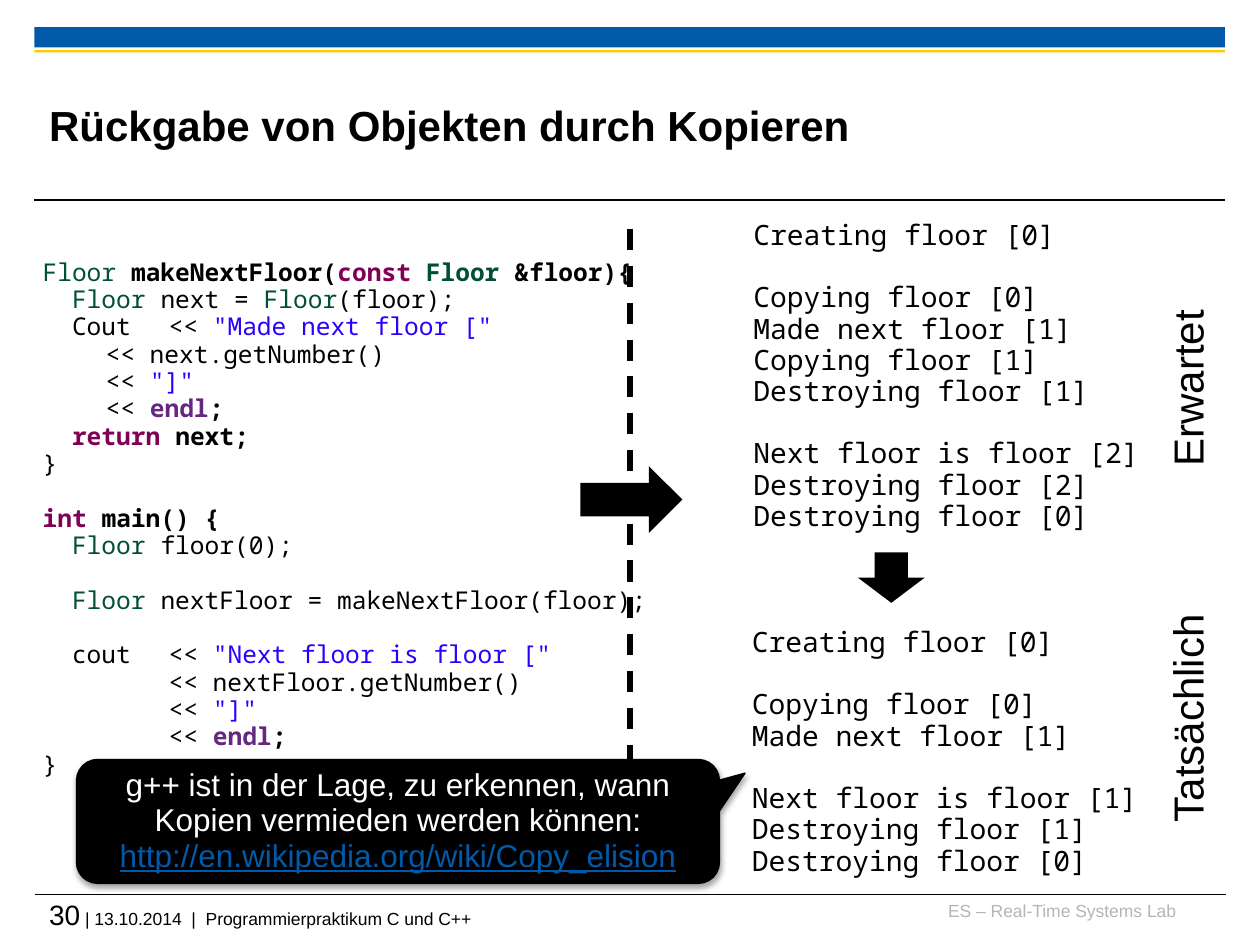
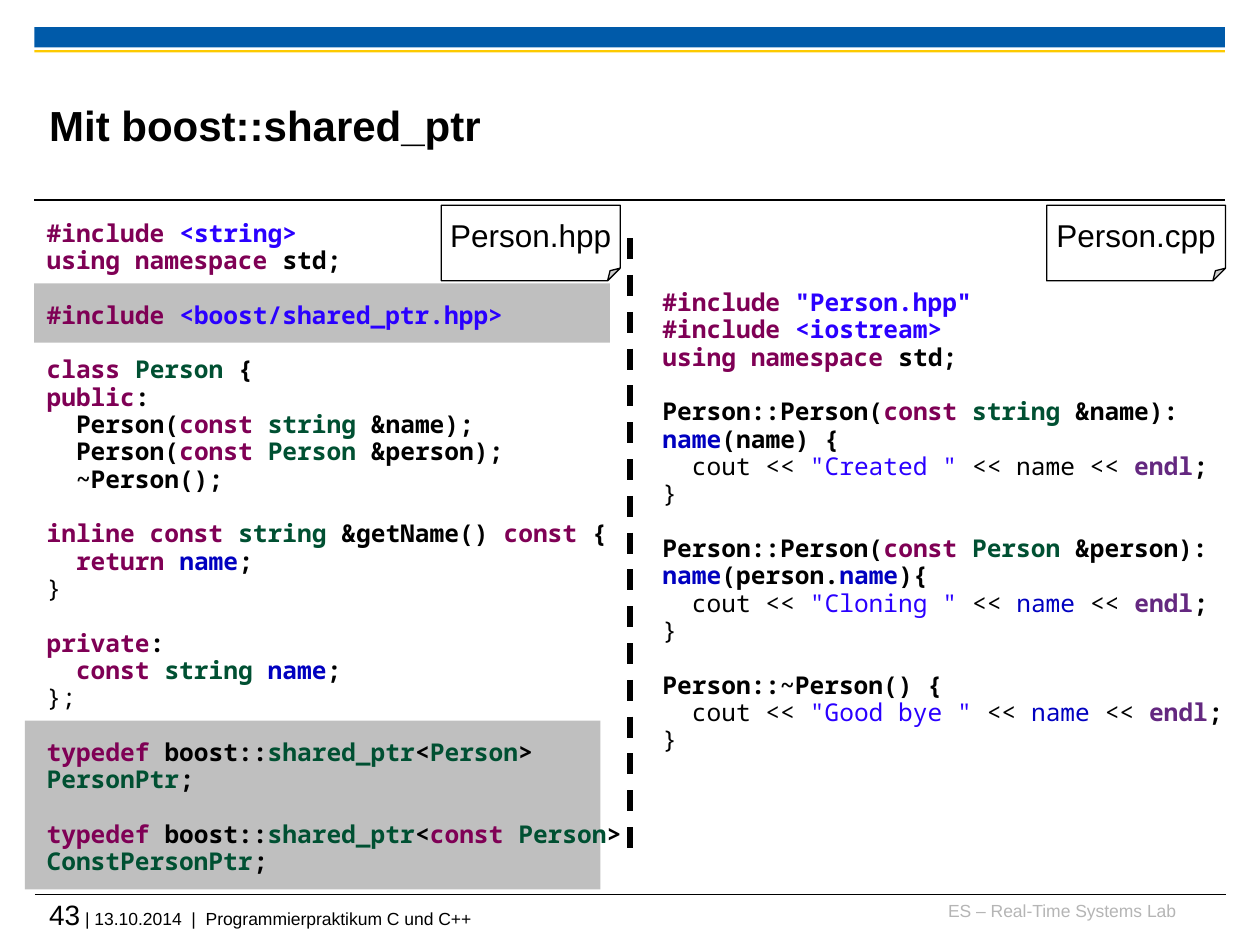
from lxml import etree
from pptx import Presentation
from pptx import util as u
from pptx.dml.color import RGBColor
from pptx.enum import dml, shapes, text
from pptx.oxml import ns, parse_xml

Pt = u.Pt
COLORS = {
    "black": "000000", "white": "FFFFFF", "blue": "005AA9", "yellow": "FDCA00",
    "lab": "B5B5B5", "highlight": "BFBFBF", "keyword": "7F0055", "type": "005032",
    "string": "2A00FF", "manipulator": "642880", "field": "0000C0",
}
# Each piece of text starts with a style letter; a capital letter means bold.
STYLES = {
    "p": "black", "k": "keyword", "t": "type", "s": "string", "m": "manipulator",
    "f": "field", "w": "white", "u": "blue", "g": "lab",
}
MONO, SANS = "Noto Sans Mono", "Arial"
LINE_PITCH = 1.115
CODE_TABS = (36, 72)
DRAWING_NS = f'xmlns:a="{ns.nsuri("a")}"'
LEFT, TOP = text.PP_ALIGN.LEFT, text.MSO_ANCHOR.TOP
CENTER, MIDDLE = text.PP_ALIGN.CENTER, text.MSO_ANCHOR.MIDDLE
PRESET = shapes.MSO_SHAPE


def write(shape, content, size, font=SANS, align=LEFT, anchor=TOP,
          inset=(7.2, 3.6), wrap=True, spacing=0.93):
    """Fill a shape with styled pieces split by ¦; an empty line becomes space before the next."""
    frame = shape.text_frame
    settings = {
        "word_wrap": wrap, "vertical_anchor": anchor,
        "margin_left": Pt(inset[0]), "margin_right": Pt(inset[0]),
        "margin_top": Pt(inset[1]), "margin_bottom": Pt(inset[1]),
    }
    for name, value in settings.items():
        setattr(frame, name, value)
    gaps, paragraph = 0, None
    for line in content.strip("\n").split("\n"):
        if not line:
            gaps += 1
            continue
        paragraph = frame.add_paragraph() if paragraph else frame.paragraphs[0]
        paragraph.alignment, paragraph.line_spacing = align, spacing
        if gaps:
            paragraph.space_before = Pt(round(gaps * size * LINE_PITCH, 1))
        gaps = 0
        if "\t" in line:
            stops = etree.SubElement(paragraph._p.get_or_add_pPr(), ns.qn("a:tabLst"))
            for stop in CODE_TABS:
                etree.SubElement(stops, ns.qn("a:tab"), pos=str(Pt(stop)), algn="l")
        for piece in line.split("¦"):
            run = paragraph.add_run()
            run.text = piece[1:]
            run.font.color.rgb = RGBColor.from_string(COLORS[STYLES[piece[0].lower()]])
            run.font.underline = True if piece[0] == "u" else None
            for name, value in {"name": font, "size": Pt(size), "bold": piece[0].isupper()}.items():
                setattr(run.font, name, value)
    return frame


def draw(slide, preset, box, fill=None, line=None, width=0.75):
    """Add a preset shape, a straight line (box holds its ends) or, without preset, a text box."""
    lengths = [Pt(value) for value in box]
    if preset is None:
        return slide.shapes.add_textbox(*lengths)
    if preset == "line":
        shape = slide.shapes.add_connector(shapes.MSO_CONNECTOR.STRAIGHT, *lengths)
        etree.SubElement(shape._element.spPr, ns.qn("a:effectLst"))
    else:
        shape = slide.shapes.add_shape(preset, *lengths)
        shape.shadow.inherit = False
        shape.fill.solid()
        shape.fill.fore_color.rgb = RGBColor.from_string(COLORS[fill])
    if line:
        shape.line.color.rgb = RGBColor.from_string(COLORS[line])
        shape.line.width = Pt(width)
    else:
        shape.line.fill.background()
    return shape


MAKE_FLOOR = """
tFloor ¦PmakeNextFloor(¦Kconst ¦TFloor ¦P&floor){
t  Floor ¦pnext = ¦tFloor¦p(floor);
p  Cout\t<< ¦s"Made next floor ["
p\t<< next.getNumber()
p\t<< ¦s"]"
p\t<< ¦Mendl¦P;
K  return ¦Pnext;
p}

Kint ¦Pmain() {
t  Floor ¦pfloor(0);

t  Floor ¦pnextFloor = makeNextFloor(floor);

p  cout\t<< ¦s"Next floor is floor ["
p\t\t<< nextFloor.getNumber()
p\t\t<< ¦s"]"
p\t\t<< ¦Mendl¦P;
p}
"""
EXPECTED = """
pCreating floor [0]

pCopying floor [0]
pMade next floor [1]
pCopying floor [1]
pDestroying floor [1]

pNext floor is floor [2]
pDestroying floor [2]
pDestroying floor [0]
"""
ACTUAL = """
pCreating floor [0]

pCopying floor [0]
pMade next floor [1]

pNext floor is floor [1]
pDestroying floor [1]
pDestroying floor [0]
"""
PERSON_HPP = """
K#include ¦S<string>
Kusing namespace ¦Pstd;

K#include ¦S<boost/shared_ptr.hpp>

Kclass ¦TPerson¦P {
Kpublic¦P:
P  Person(¦Kconst ¦Tstring¦P &name);
P  Person(¦Kconst ¦TPerson¦P &person);
P  ~Person();

Kinline const ¦Tstring¦P &getName() ¦Kconst¦P {
K  return ¦Fname¦P;
p}

Kprivate¦P:
K  const ¦Tstring ¦Fname¦P;
p};

Ktypedef ¦Pboost::¦Tshared_ptr¦P<¦TPerson¦P>
TPersonPtr¦P;

Ktypedef¦P boost::¦Tshared_ptr¦P<¦Kconst ¦TPerson¦P>
TConstPersonPtr¦P;
"""
PERSON_CPP = """
K#include ¦S"Person.hpp"
K#include ¦S<iostream>
Kusing namespace ¦Pstd;

PPerson::Person(¦Kconst ¦Tstring¦P &name):
Fname¦P(name) {
p  cout << ¦s"Created "¦p << name << ¦Mendl¦P;
p}

PPerson::Person(¦Kconst ¦TPerson¦P &person):
Fname¦P(person.¦Fname¦P){
p  cout << ¦s"Cloning "¦p << ¦fname¦p << ¦Mendl¦P;
p}

PPerson::~Person() {
p  cout << ¦s"Good bye "¦p << ¦fname¦p << ¦Mendl¦P;
p}
"""

deck = Presentation()
deck.slide_width, deck.slide_height = Pt(720), Pt(540)

# Shared bands, rules, title and footer
pages = []
for number, title in ((30, "Rückgabe von Objekten durch Kopieren"), (43, "Mit boost::shared_ptr")):
    page = deck.slides.add_slide(deck.slide_layouts[6])
    pages.append(page)
    for left, y in ((20, 511.2), (19.6, 114.3)):
        draw(page, "line", (left, y, left + 680.4, y), line="black", width=0.6)
    for top, height, color in ((15.6, 11.5, "blue"), (28.6, 1.4, "yellow")):
        draw(page, PRESET.RECTANGLE, (19.6, top, 680.4, height), color)
    flush = {"inset": (0, 0), "spacing": 1.0}
    write(draw(page, None, (530, 514, 142, 18)), "gES – Real-Time Systems Lab", 10,
          align=text.PP_ALIGN.RIGHT, **flush)
    footer = write(draw(page, None, (28.1, 512.6, 672, 24)),
                   f"p{number}¦p | 13.10.2014  |  Programmierpraktikum C und C++", 10, **flush)
    footer.paragraphs[0].runs[0].font.size = Pt(16)
    write(draw(page, None, (28.1, 38.2, 541.4, 66.2)), "P" + title, 24, anchor=MIDDLE, **flush)
copying, pointers = pages

# Returning objects by copy
write(draw(copying, None, (17.3, 144.7, 366, 307)), MAKE_FLOOR, 14, MONO)
divider = draw(copying, "line", (360, 131, 360, 485.3), line="black", width=3)
divider.line.dash_style = dml.MSO_LINE.DASH
write(draw(copying, None, (422.6, 355, 250, 151)), ACTUAL, 16, MONO)
draw(copying, PRESET.RIGHT_ARROW, (331.7, 266.4, 58.2, 38.2), "black")
write(draw(copying, None, (423.4, 122.4, 250, 187)), EXPECTED, 16, MONO)
draw(copying, PRESET.RIGHT_ARROW, (494.9, 311, 28.8, 38.2), "black").rotation = 90

elision = draw(copying, PRESET.ROUNDED_RECTANGULAR_CALLOUT, (43.7, 434, 367.4, 70.8),
               "black", "black")
for index, value in enumerate((0.54, -0.39, 0.17)):
    elision.adjustments[index] = value
elision._element.spPr.find(ns.qn("a:effectLst")).append(parse_xml(
    f'<a:outerShdw {DRAWING_NS} blurRad="{Pt(3.1)}" dist="{Pt(1.8)}" dir="5400000" rotWithShape="0">'
    '<a:srgbClr val="000000"><a:alpha val="35000"/></a:srgbClr></a:outerShdw>'))
write(elision, "wg++ ist in der Lage, zu erkennen, wann Kopien vermieden werden können: "
      "¦uhttp://en.wikipedia.org/wiki/Copy_elision", 18, align=CENTER, anchor=MIDDLE)

for top, outcome in ((204.5, "Erwartet"), (393.1, "Tatsächlich")):
    label = draw(copying, None, (603.4, top, 153.4, 34.6))
    label.rotation = 270
    write(label, "p" + outcome, 24, align=CENTER)

# Using shared_ptr
for box in ((19.6, 162, 329, 33.8), (14.2, 411.8, 329, 96.5)):
    draw(pointers, PRESET.RECTANGLE, box, "highlight")
write(draw(pointers, None, (19.6, 122.4, 453.6, 386)), PERSON_HPP, 14, MONO)
write(draw(pointers, None, (371.5, 162, 345.6, 291.6)), PERSON_CPP, 14, MONO)
divider = draw(pointers, "line", (360, 136.1, 360, 491), line="black", width=3)
divider.line.dash_style = dml.MSO_LINE.DASH
for left, file_name in ((252.2, "Person.hpp"), (598.1, "Person.cpp")):
    note = draw(pointers, PRESET.FOLDED_CORNER, (left, 117.3, 102.2, 43.2), "white", "black")
    write(note, "p" + file_name, 18, align=CENTER, anchor=MIDDLE, wrap=False)

deck.save("out.pptx")
